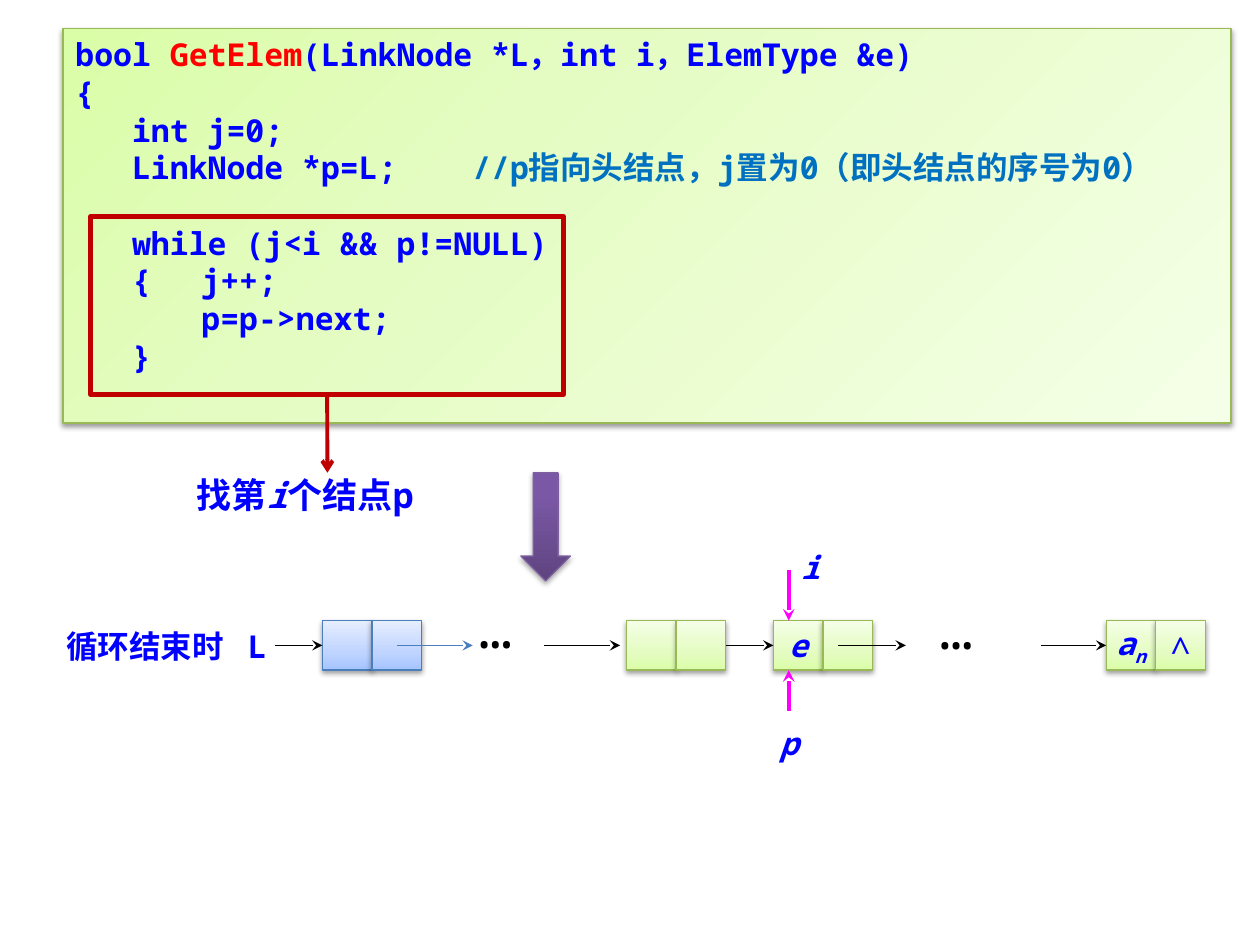
from dataclasses import dataclass
from typing import Optional

import pptx
import pptx.dml.color
import pptx.enum.shapes
import pptx.enum.text
import pptx.oxml
import pptx.oxml.ns
import pptx.util
from lxml import etree

Cm = pptx.util.Cm
Pt = pptx.util.Pt
RGBColor = pptx.dml.color.RGBColor
Preset = pptx.enum.shapes.MSO_SHAPE
Align = pptx.enum.text.PP_ALIGN
Anchor = pptx.enum.text.MSO_ANCHOR
qn = pptx.oxml.ns.qn

FONT = "Noto Sans Mono"
BLACK = RGBColor(0x00, 0x00, 0x00)
BLUE = RGBColor(0x00, 0x00, 0xFF)
RED = RGBColor(0xFF, 0x00, 0x00)
DARK_RED = RGBColor(0xC0, 0x00, 0x00)
COMMENT_BLUE = RGBColor(0x00, 0x70, 0xC0)
MAGENTA = RGBColor(0xFF, 0x00, 0xFF)
GREEN_LINE = RGBColor(0x98, 0xB9, 0x55)
HEAD_LINE = RGBColor(0x4B, 0x7E, 0xBC)
PURPLE_LINE = RGBColor(0x7D, 0x60, 0xA0)
GREEN_STOPS = ((0, RGBColor(0xDA, 0xFD, 0xA7)), (35, RGBColor(0xE4, 0xFC, 0xC2)),
               (100, RGBColor(0xF5, 0xFF, 0xE7)))
HEAD_STOPS = ((0, RGBColor(0xA4, 0xC4, 0xFF)), (35, RGBColor(0xBF, 0xD4, 0xFF)),
              (100, RGBColor(0xE6, 0xEE, 0xFF)))
PURPLE_STOPS = ((0, RGBColor(0x5F, 0x44, 0x80)), (80, RGBColor(0x7B, 0x58, 0xA6)),
                (100, RGBColor(0x7C, 0x57, 0xA8)))

CELL = 1.0
NODE_TOP = 12.51
NODE_MIDDLE = NODE_TOP + CELL / 2
INDEX_X = 15.9


@dataclass
class Span:
    text: str
    color: Optional[RGBColor] = None
    italic: Optional[bool] = None
    baseline: int = 0


@dataclass
class Node:
    left: float
    data: tuple = ()
    link: str = ""
    stops: tuple = GREEN_STOPS
    line: RGBColor = GREEN_LINE


@dataclass
class Label:
    left: float
    top: float
    width: float
    height: float
    spans: tuple
    size: float = 18
    color: RGBColor = BLUE
    bold: bool = True
    italic: bool = False


@dataclass
class Arrow:
    start: tuple
    end: tuple
    color: RGBColor = BLACK
    width: float = 0.75
    head: str = "stealth"


def write_paragraph(paragraph, spans: tuple, size: float = 18, color: RGBColor = BLUE,
                    bold: bool = True, italic: bool = False) -> None:
    font = paragraph.font
    font.name, font.size, font.bold, font.italic = FONT, Pt(size), bold, italic
    font.color.rgb = color
    for span in spans:
        run = paragraph.add_run()
        run.text = span.text
        if span.color is not None:
            run.font.color.rgb = span.color
        if span.italic is not None:
            run.font.italic = span.italic
        if span.baseline:
            run.font._element.set("baseline", str(span.baseline * 1000))


def add_panel(slide, preset, left: float, top: float, width: float, height: float,
              stops: tuple, line: RGBColor, angle: float = 90, opacity: int = 38):
    shape = slide.shapes.add_shape(preset, Cm(left), Cm(top), Cm(width), Cm(height))
    shape.fill.gradient()
    shape.fill.gradient_angle = angle
    stop_list = shape._element.spPr.find(qn("a:gradFill")).find(qn("a:gsLst"))
    stop_list.clear()
    for position, color in stops:
        stop = etree.SubElement(stop_list, qn("a:gs"), pos=str(position * 1000))
        etree.SubElement(stop, qn("a:srgbClr"), val=str(color))
    shape.line.color.rgb = line
    shape.line.width = Pt(0.75)
    shape.shadow.inherit = False
    effects = shape._element.spPr.find(qn("a:effectLst"))
    shadow = etree.SubElement(effects, qn("a:outerShdw"), blurRad=str(Pt(3.1)),
                              dist=str(Pt(1.6)), dir="5400000", rotWithShape="0")
    shade = etree.SubElement(shadow, qn("a:srgbClr"), val=str(BLACK))
    etree.SubElement(shade, qn("a:alpha"), val=str(opacity * 1000))
    return shape


def add_code(slide) -> None:
    shape = add_panel(slide, Preset.RECTANGLE, 1.27, 0.58, 23.55, 7.95,
                      GREEN_STOPS, GREEN_LINE, angle=315)
    lines = (
        (Span("bool "), Span("GetElem", RED), Span("(LinkNode *L，int i，ElemType &e)")),
        (Span("{"),),
        (Span("   int j=0;"),),
        (Span("   LinkNode *p=L;\t "),
         Span("//p指向头结点，j置为0（即头结点的序号为0）", COMMENT_BLUE)),
        (Span("   while (j<i && p!=NULL)"),),
        (Span("   {\tj++;"),),
        (Span("\tp=p->next;"),),
        (Span("   }"),),
    )
    loop_line = 4
    frame = shape.text_frame
    frame.word_wrap = True
    frame.vertical_anchor = Anchor.TOP
    for index, spans in enumerate(lines):
        paragraph = frame.paragraphs[0] if index == 0 else frame.add_paragraph()
        paragraph.alignment = Align.LEFT
        if index == loop_line:
            paragraph.space_before = Pt(21.4)
        tabs = etree.SubElement(paragraph._p.get_or_add_pPr(), qn("a:tabLst"))
        for position in (2.54, 7.62):
            etree.SubElement(tabs, qn("a:tab"), pos=str(Cm(position)), algn="l")
        write_paragraph(paragraph, spans)


def add_node(slide, node: Node) -> tuple:
    cells = tuple(add_panel(slide, Preset.RECTANGLE, node.left + offset, NODE_TOP,
                            CELL, CELL, node.stops, node.line) for offset in (0, CELL))
    contents = ((node.data, True), ((Span(node.link),) if node.link else (), False))
    for cell, (spans, emphasis) in zip(cells, contents):
        if spans:
            cell.text_frame.word_wrap = False
            cell.text_frame.vertical_anchor = Anchor.MIDDLE
            paragraph = cell.text_frame.paragraphs[0]
            paragraph.alignment = Align.CENTER
            write_paragraph(paragraph, spans, bold=emphasis, italic=emphasis)
    return cells


def add_label(slide, label: Label) -> None:
    box = slide.shapes.add_textbox(Cm(label.left), Cm(label.top),
                                   Cm(label.width), Cm(label.height))
    box.text_frame.word_wrap = True
    write_paragraph(box.text_frame.paragraphs[0], label.spans, label.size,
                    label.color, label.bold, label.italic)


def add_arrow(slide, arrow: Arrow):
    connector = slide.shapes.add_connector(
        pptx.enum.shapes.MSO_CONNECTOR.STRAIGHT,
        *(Cm(value) for value in arrow.start + arrow.end))
    connector.line.color.rgb = arrow.color
    connector.line.width = Pt(arrow.width)
    etree.SubElement(connector.line._get_or_add_ln(), qn("a:tailEnd"), type=arrow.head)
    etree.SubElement(connector._element.spPr, qn("a:effectLst"))
    return connector


def main() -> None:
    presentation = pptx.Presentation()
    presentation.slide_width, presentation.slide_height = Cm(25.4), Cm(19.05)
    slide = presentation.slides.add_slide(presentation.slide_layouts[6])

    add_code(slide)
    loop_frame = slide.shapes.add_shape(Preset.RECTANGLE, Cm(1.83), Cm(4.37), Cm(9.53), Cm(3.58))
    loop_frame.fill.background()
    loop_frame.line.color.rgb = DARK_RED
    loop_frame.line.width = Pt(3)
    loop_frame.shadow.inherit = False
    loop_arrow = add_arrow(slide, Arrow((6.6, 7.95), (6.6, 9.53), DARK_RED, 2.25, "arrow"))
    loop_arrow.begin_connect(loop_frame, 2)
    add_panel(slide, Preset.DOWN_ARROW, 10.5, 9.53, 1.0, 2.18,
              PURPLE_STOPS, PURPLE_LINE, opacity=35)

    head, previous, found, last = (add_node(slide, node) for node in (
        Node(6.5, stops=HEAD_STOPS, line=HEAD_LINE),
        Node(12.63),
        Node(15.59, (Span("e"),)),
        Node(22.3, (Span("a"), Span("n", baseline=-25)), "∧"),
    ))

    for start, end, color, source, target in (
        (5.54, 6.5, BLACK, None, head[0]),
        (8.0, 9.53, HEAD_LINE, None, None),
        (10.97, 12.5, BLACK, None, None),
        (14.63, 15.59, BLACK, previous[1], found[0]),
        (16.89, 18.26, BLACK, None, None),
        (20.98, 22.3, BLACK, None, last[0]),
    ):
        link = add_arrow(slide, Arrow((start, NODE_MIDDLE), (end, NODE_MIDDLE), color))
        if source is not None:
            link.begin_connect(source, 3)
        if target is not None:
            link.end_connect(target, 1)
    for start, end in ((11.5, NODE_TOP), (14.33, NODE_TOP + CELL)):
        add_arrow(slide, Arrow((INDEX_X, start), (INDEX_X, end), MAGENTA, 2.25))

    for label in (
        Label(3.71, 9.42, 5.77, 1.12, (Span("找第"), Span("i", italic=True), Span("个结点p")), 20),
        Label(1.09, 12.52, 4.19, 1.02, (Span("循环结束时"),)),
        Label(4.75, 12.52, 0.74, 1.02, (Span("L"),)),
        Label(9.4, 11.81, 2.0, 1.6, (Span("…"),), 32, BLACK, False),
        Label(18.69, 11.84, 2.0, 1.6, (Span("…"),), 32, BLACK, False),
        Label(INDEX_X, 10.92, 1.0, 1.02, (Span("i"),), italic=True),
        Label(15.47, 14.48, 1.0, 1.02, (Span("p"),), italic=True),
    ):
        add_label(slide, label)

    presentation.save("out.pptx")


if __name__ == "__main__":
    main()
